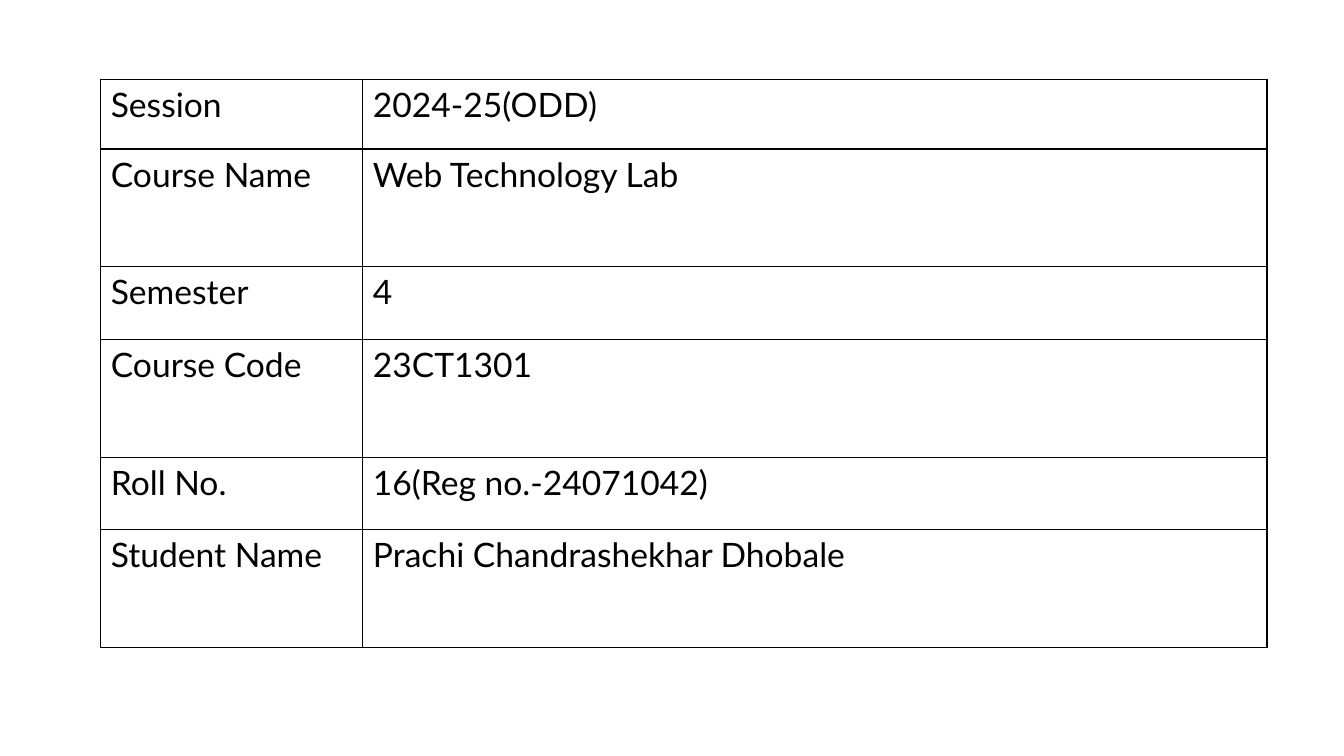
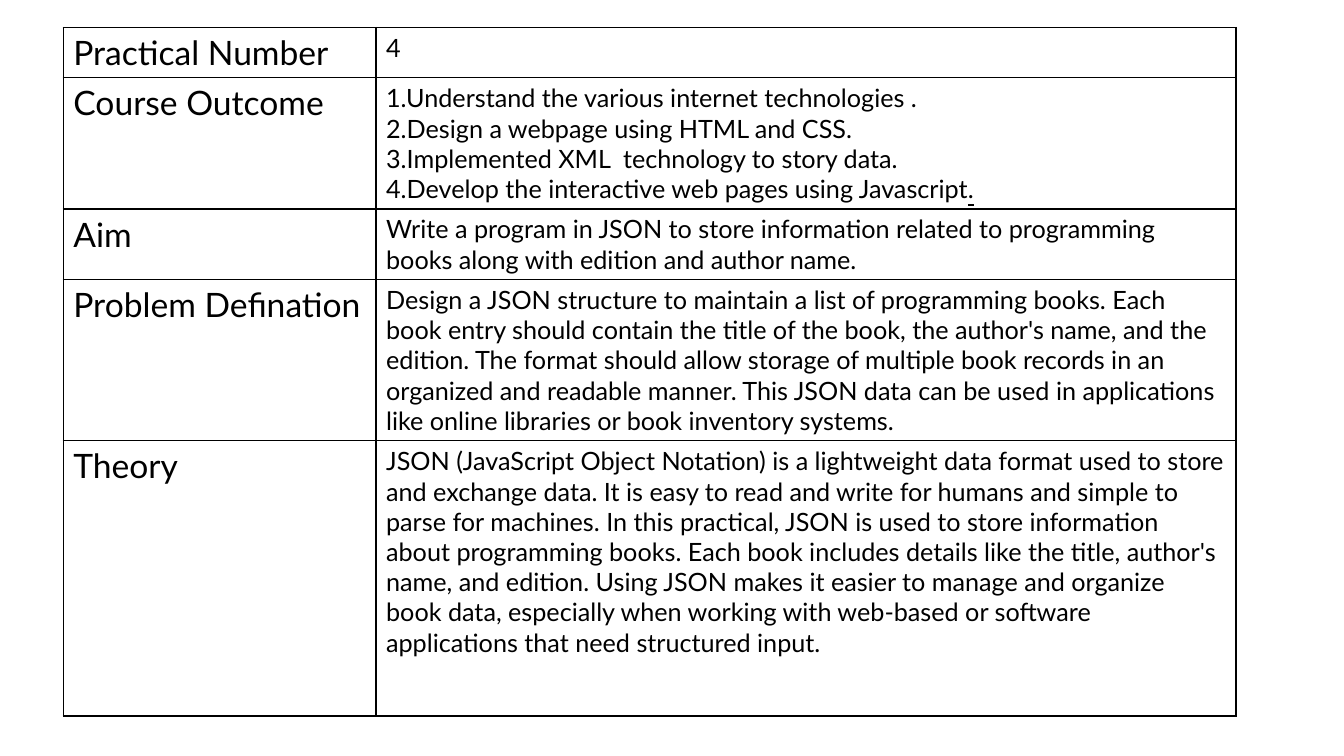
"""Build two lab record slides, each holding a bordered two-column table."""
import pptx
import pptx.dml.color
import pptx.oxml
import pptx.oxml.ns
import pptx.util

Pt = pptx.util.Pt
COLORS = {"text": "000000", "border": "000000"}
FONT = "Lato"
BORDER_WIDTH = 1

TABLES = [
    {
        "left": 72, "top": 56.7,
        "column_widths": [187.2, 645.8],
        "row_heights": [49.7, 84.2, 51.8, 84.2, 51.8, 84.2],
        "sizes": [24, 24],
        "rows": [
            ("Session", "2024-25(ODD)"),
            ("Course Name", "Web Technology Lab"),
            ("Semester", "4"),
            ("Course Code", "23CT1301"),
            ("Roll No.", "16(Reg no.-24071042)"),
            ("Student Name", "Prachi Chandrashekhar Dhobale"),
        ],
    },
    {
        "left": 45.2, "top": 19.6,
        "column_widths": [223.4, 614.3],
        "row_heights": [35.3, 91.4, 49, 106.6, 196.6],
        "sizes": [24, 18],
        "rows": [
            ("Practical Number", "4"),
            ("Course Outcome",
             "1.Understand the various internet technologies .\n"
             "2.Design a webpage using HTML and CSS.\n"
             "3.Implemented XML  technology to story data.\n"
             "4.Develop the interactive web pages using Javascript"),
            ("Aim",
             "Write a program in JSON to store information related to programming "
             "books along with edition and author name."),
            ("Problem Defination",
             "Design a JSON structure to maintain a list of programming books. Each "
             "book entry should contain the title of the book, the author's name, and the "
             "edition. The format should allow storage of multiple book records in an "
             "organized and readable manner. This JSON data can be used in applications "
             "like online libraries or book inventory systems."),
            ("Theory",
             "JSON (JavaScript Object Notation) is a lightweight data format used to store "
             "and exchange data. It is easy to read and write for humans and simple to "
             "parse for machines. In this practical, JSON is used to store information "
             "about programming books. Each book includes details like the title, author's "
             "name, and edition. Using JSON makes it easier to manage and organize "
             "book data, especially when working with web-based or software "
             "applications that need structured input."),
        ],
    },
]


def format_run(run, size, underline=False):
    values = {"name": FONT, "size": Pt(size), "bold": False, "underline": underline}
    for name, value in values.items():
        setattr(run.font, name, value)
    run.font.color.rgb = pptx.dml.color.RGBColor.from_string(COLORS["text"])


def add_borders(cell):
    properties = cell._tc.get_or_add_tcPr()
    for side in ("lnL", "lnR", "lnT", "lnB"):
        properties.append(pptx.oxml.parse_xml(
            f'<a:{side} {pptx.oxml.ns.nsdecls("a")} w="{Pt(BORDER_WIDTH)}">'
            f'<a:solidFill><a:srgbClr val="{COLORS["border"]}"/></a:solidFill></a:{side}>'))


presentation = pptx.Presentation()
presentation.slide_width = Pt(960)
presentation.slide_height = Pt(540)

tables = []
for content in TABLES:
    slide = presentation.slides.add_slide(presentation.slide_layouts[6])
    widths, heights = content["column_widths"], content["row_heights"]
    table = slide.shapes.add_table(
        len(heights), len(widths), Pt(content["left"]), Pt(content["top"]),
        Pt(sum(widths)), Pt(sum(heights))).table
    table.first_row = False
    table.horz_banding = False
    for column, width in zip(table.columns, widths):
        column.width = Pt(width)
    for row, height, texts in zip(table.rows, heights, content["rows"]):
        row.height = Pt(height)
        for cell, text, size in zip(row.cells, texts, content["sizes"]):
            add_borders(cell)
            cell.fill.background()
            cell.text = text
            for paragraph in cell.text_frame.paragraphs:
                format_run(paragraph.runs[0], size)
    tables.append(table)

last_outcome = tables[1].cell(1, 1).text_frame.paragraphs[-1]
full_stop = last_outcome.add_run()
full_stop.text = "."
format_run(full_stop, TABLES[1]["sizes"][1], underline=True)

presentation.save("out.pptx")
